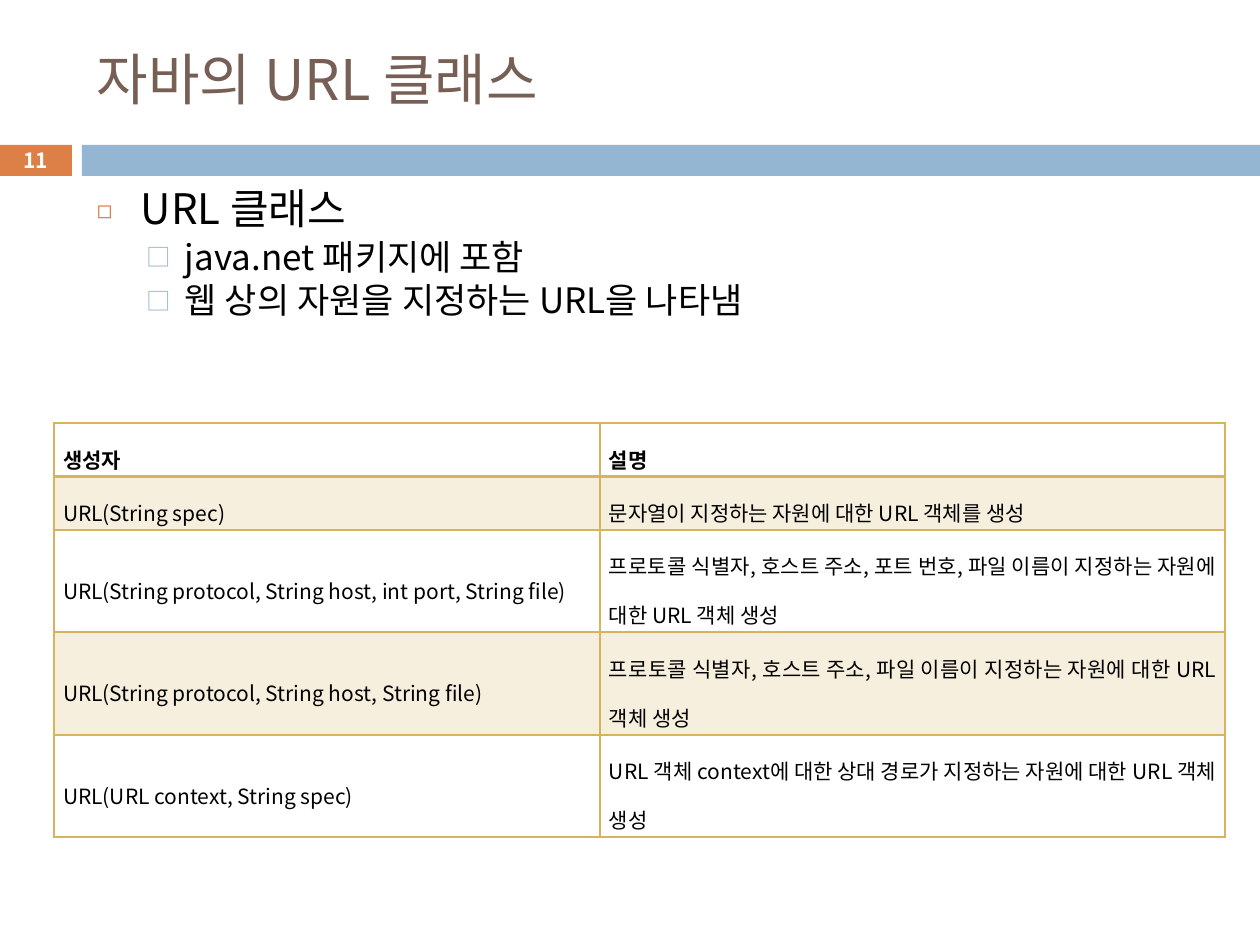
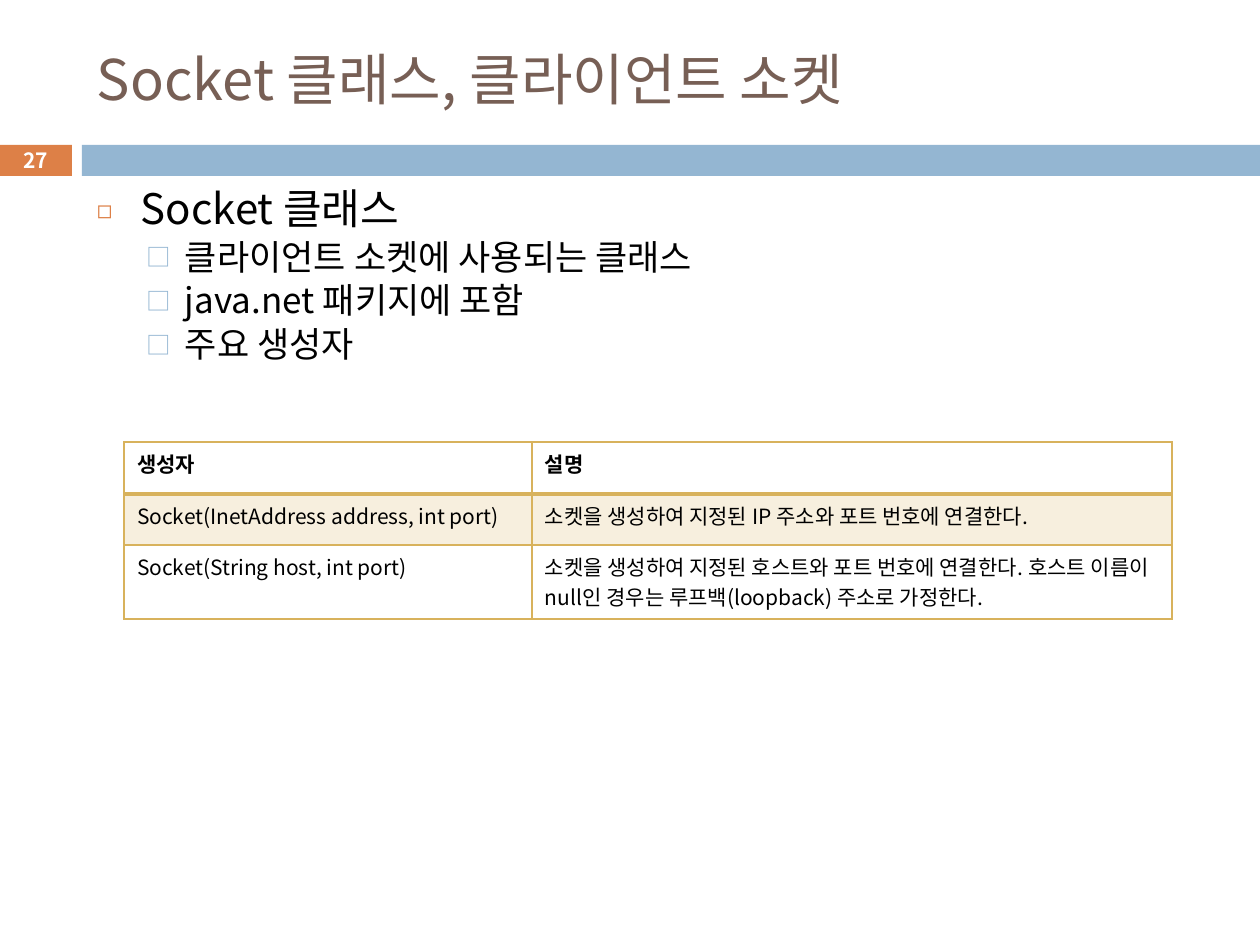
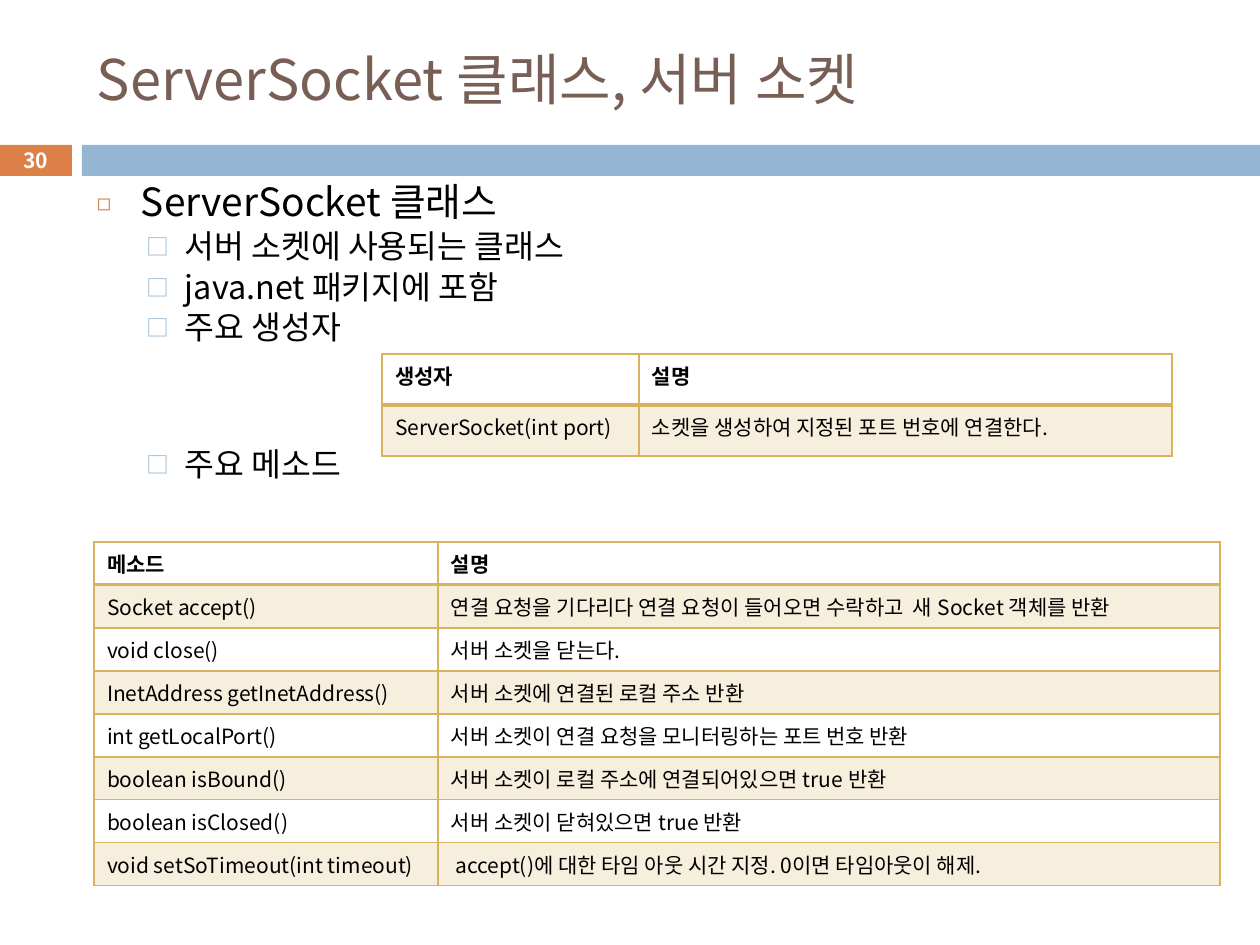
from lxml import etree
from pptx import Presentation, util as u
from pptx.dml.color import RGBColor
from pptx.enum import shapes, text
from pptx.oxml.ns import qn

FONT = "Noto Sans CJK KR"
COLORS = {
    "title": "775F55",
    "accent": "DD8047",
    "band": "94B6D2",
    "gold": "D8B25C",
    "text": "000000",
    "white": "FFFFFF",
}
# Bullet formats by outline level; indents are px
LEVELS = [
    {"bullet": "◻", "color": "accent", "percent": 60, "left": 44, "hanging": 44},
    {"bullet": "□", "color": "band", "percent": 70, "left": 88, "hanging": 38},
]
POINT_GAP = 1
TABLE_GAP = 56  # space that makes room for a table between two points

ROOMY = {"margins": (9, 2), "anchor": text.MSO_ANCHOR.MIDDLE,
         "align": text.PP_ALIGN.JUSTIFY, "line_spacing": 1.6}
PLAIN = {"margins": (13, 6), "anchor": text.MSO_ANCHOR.TOP,
         "align": text.PP_ALIGN.LEFT, "line_spacing": 1}

SLIDES = [
    {
        "number": "11",
        "title": "자바의 URL 클래스",
        "body": {"top": 183, "sizes": (24, 20)},
        "heading": "URL 클래스",
        "points": [
            ("java.net 패키지에 포함", POINT_GAP),
            ("웹 상의 자원을 지정하는 URL을 나타냄", POINT_GAP),
        ],
        "tables": [{
            "at": (54, 423), "columns": (546, 625),
            "heights": (54, 53, 102, 103, 102), "style": ROOMY,
            "rows": [
                ("생성자", "설명"),
                ("URL(String spec)",
                 "문자열이 지정하는 자원에 대한 URL 객체를 생성"),
                ("URL(String protocol, String host, int port, String file)",
                 "프로토콜 식별자, 호스트 주소, 포트 번호, 파일 이름이 지정하는 자원에 대한 URL 객체 생성"),
                ("URL(String protocol, String host, String file)",
                 "프로토콜 식별자, 호스트 주소, 파일 이름이 지정하는 자원에 대한 URL 객체 생성"),
                ("URL(URL context, String spec)",
                 "URL 객체 context에 대한 상대 경로가 지정하는 자원에 대한 URL 객체 생성"),
            ],
        }],
    },
    {
        "number": "27",
        "title": "Socket 클래스, 클라이언트 소켓",
        "body": {"top": 183, "sizes": (24, 20)},
        "heading": "Socket 클래스",
        "points": [
            ("클라이언트 소켓에 사용되는 클래스", POINT_GAP),
            ("java.net 패키지에 포함", POINT_GAP),
            ("주요 생성자", POINT_GAP),
        ],
        "tables": [{
            "at": (124, 442), "columns": (408, 640),
            "heights": (52, 51, 74), "style": PLAIN,
            "rows": [
                ("생성자", "설명"),
                ("Socket(InetAddress address, int port)",
                 "소켓을 생성하여 지정된 IP 주소와 포트 번호에 연결한다."),
                ("Socket(String host, int port)",
                 "소켓을 생성하여 지정된 호스트와 포트 번호에 연결한다. 호스트 이름이 null인 경우는 "
                 "루프백(loopback) 주소로 가정한다."),
            ],
        }],
    },
    {
        "number": "30",
        "title": "ServerSocket 클래스, 서버 소켓",
        "body": {"top": 178, "sizes": (22.2, 18.5)},
        "heading": "ServerSocket 클래스",
        "points": [
            ("서버 소켓에 사용되는 클래스", POINT_GAP),
            ("java.net 패키지에 포함", POINT_GAP),
            ("주요 생성자", POINT_GAP),
            ("주요 메소드", TABLE_GAP),
        ],
        "tables": [
            {
                "at": (382, 354), "columns": (257, 533),
                "heights": (51, 51), "style": PLAIN,
                "rows": [
                    ("생성자", "설명"),
                    ("ServerSocket(int port)",
                     "소켓을 생성하여 지정된 포트 번호에 연결한다."),
                ],
            },
            {
                "at": (94, 542), "columns": (344, 782),
                "heights": (43,) * 8, "style": PLAIN,
                "rows": [
                    ("메소드", "설명"),
                    ("Socket accept()",
                     "연결 요청을 기다리다 연결 요청이 들어오면 수락하고  새 Socket 객체를 반환"),
                    ("void close()", "서버 소켓을 닫는다."),
                    ("InetAddress getInetAddress()", "서버 소켓에 연결된 로컬 주소 반환"),
                    ("int getLocalPort()", "서버 소켓이 연결 요청을 모니터링하는 포트 번호 반환"),
                    ("boolean isBound()", "서버 소켓이 로컬 주소에 연결되어있으면 true 반환"),
                    ("boolean isClosed()", "서버 소켓이 닫혀있으면 true 반환"),
                    ("void setSoTimeout(int timeout)",
                     " accept()에 대한 타임 아웃 시간 지정. 0이면 타임아웃이 해제."),
                ],
            },
        ],
    },
]


def px(length):
    return u.Emu(round(length * 914400 / 126))


def rgb(name):
    return RGBColor.from_string(COLORS[name])


def write(paragraph, words, size=12, color="text", bold=False,
          align=text.PP_ALIGN.LEFT, line_spacing=1, before=0):
    paragraph.alignment = align
    paragraph.line_spacing = float(line_spacing)
    paragraph.space_before = u.Pt(before)
    run = paragraph.add_run()
    run.text = words
    run.font.size = u.Pt(size)
    run.font.bold = bold
    run.font.color.rgb = rgb(color)
    run.font.name = FONT
    etree.SubElement(run.font._element, qn("a:ea"), typeface=FONT)


def add_bar(slide, left, top, width, height, color):
    shape = slide.shapes.add_shape(
        shapes.MSO_SHAPE.RECTANGLE, *map(px, (left, top, width, height)))
    shape.shadow.inherit = False
    shape.fill.solid()
    shape.fill.fore_color.rgb = rgb(color)
    shape.line.fill.background()


def add_text_frame(slide, left, top, width, height, margins=(13, 6),
                   anchor=text.MSO_ANCHOR.MIDDLE):
    frame = slide.shapes.add_textbox(
        *map(px, (left, top, width, height))).text_frame
    frame.word_wrap = True
    frame.vertical_anchor = anchor
    frame.margin_left = frame.margin_right = px(margins[0])
    frame.margin_top = frame.margin_bottom = px(margins[1])
    return frame


def add_bullet(paragraph, level):
    style = LEVELS[level]
    paragraph.level = level
    properties = paragraph._p.get_or_add_pPr()
    properties.set("marL", str(px(style["left"])))
    properties.set("indent", str(-px(style["hanging"])))
    color = etree.SubElement(properties, qn("a:buClr"))
    etree.SubElement(color, qn("a:srgbClr"), val=COLORS[style["color"]])
    etree.SubElement(properties, qn("a:buSzPct"), val=str(style["percent"] * 1000))
    etree.SubElement(properties, qn("a:buFont"), typeface=FONT)
    etree.SubElement(properties, qn("a:buChar"), char=style["bullet"])


def add_outline(slide, content):
    body = content["body"]
    frame = add_text_frame(slide, 84, body["top"], 1124, 340, margins=(13, 0),
                           anchor=text.MSO_ANCHOR.TOP)
    lines = [(0, content["heading"], 0)]
    lines += [(1, words, gap) for words, gap in content["points"]]
    for index, (level, words, gap) in enumerate(lines):
        paragraph = frame.add_paragraph() if index else frame.paragraphs[0]
        write(paragraph, words, size=body["sizes"][level], before=gap)
        add_bullet(paragraph, level)


def set_borders(cell, row):
    """Gold lines all round, thicker between the header and the first row."""
    widths = {"L": 1, "R": 1, "T": 2 if row == 1 else 1, "B": 2 if row == 0 else 1}
    properties = cell._tc.get_or_add_tcPr()
    for side, width in widths.items():
        line = etree.SubElement(properties, qn("a:ln" + side), w=str(u.Pt(width)))
        fill = etree.SubElement(line, qn("a:solidFill"))
        etree.SubElement(fill, qn("a:srgbClr"), val=COLORS["gold"])


def set_fill(cell, row):
    """Pale gold on every odd row, nothing on the others."""
    if row % 2 == 0:
        cell.fill.background()
        return
    cell.fill.solid()
    cell.fill.fore_color.rgb = rgb("gold")
    color = cell._tc.tcPr.find(qn("a:solidFill")).find(qn("a:srgbClr"))
    etree.SubElement(color, qn("a:alpha"), val="20000")


def add_table(slide, at, columns, heights, style, rows):
    table = slide.shapes.add_table(
        len(rows), len(columns),
        *map(px, (*at, sum(columns), sum(heights)))).table
    table.first_row = table.horz_banding = False
    for column, width in zip(table.columns, columns):
        column.width = px(width)
    for row, height in zip(table.rows, heights):
        row.height = px(height)
    side, edge = style["margins"]
    for row, entries in enumerate(rows):
        for column, words in enumerate(entries):
            cell = table.cell(row, column)
            cell.margin_left = cell.margin_right = px(side)
            cell.margin_top = cell.margin_bottom = px(edge)
            cell.vertical_anchor = style["anchor"]
            write(cell.text_frame.paragraphs[0], words, bold=row == 0,
                  align=style["align"], line_spacing=style["line_spacing"])
            set_borders(cell, row)
            set_fill(cell, row)


def add_frame(slide, title, number):
    """Bands, title and slide number shared by all slides."""
    add_bar(slide, 0, 145, 72, 31, "accent")
    add_bar(slide, 82, 145, 1178, 31, "band")
    title_frame = add_text_frame(slide, 84, 32, 1124, 93)
    write(title_frame.paragraphs[0], title, size=32, color="title")
    number_frame = add_text_frame(slide, 0, 143, 72, 34, margins=(0, 0))
    write(number_frame.paragraphs[0], number, color="white", bold=True,
          align=text.PP_ALIGN.CENTER)


def main():
    presentation = Presentation()
    presentation.slide_width, presentation.slide_height = px(1260), px(945)
    for content in SLIDES:
        slide = presentation.slides.add_slide(presentation.slide_layouts[6])
        add_frame(slide, content["title"], content["number"])
        add_outline(slide, content)
        for table in content["tables"]:
            add_table(slide, **table)
    presentation.save("out.pptx")


if __name__ == "__main__":
    main()
